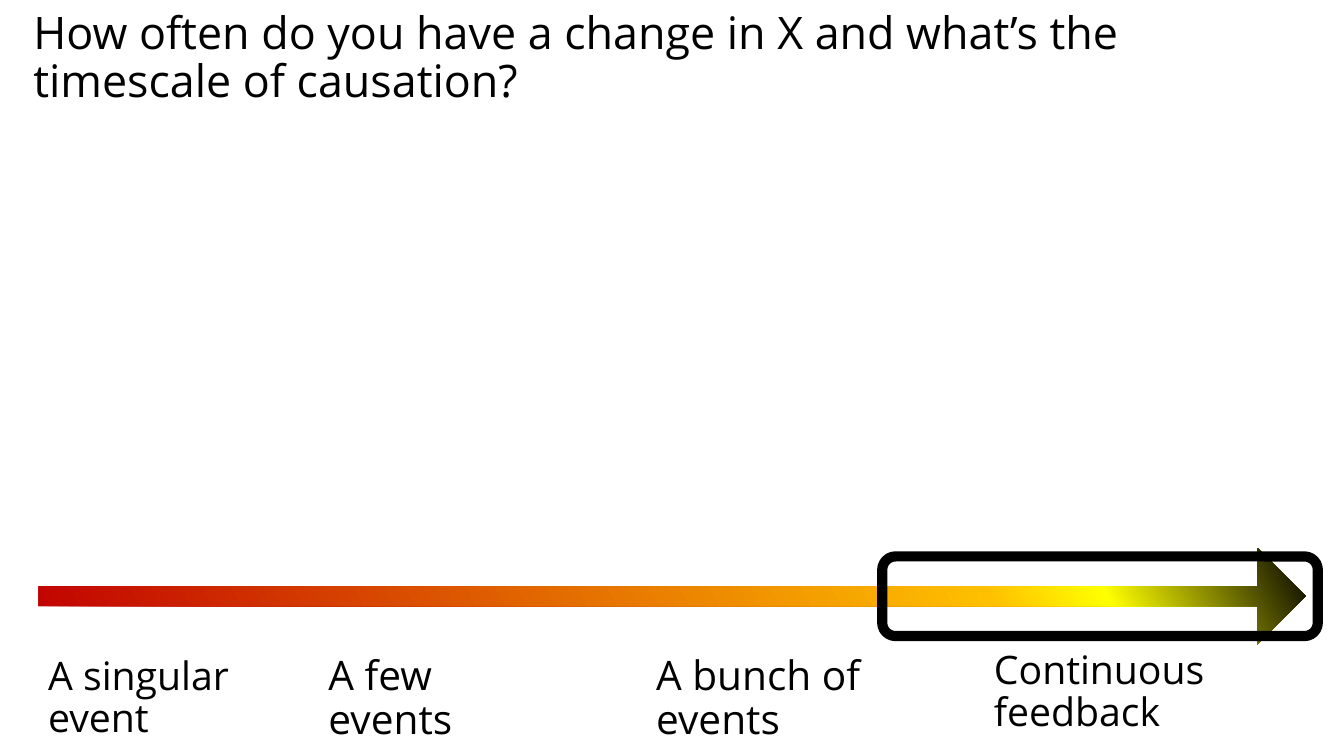
from lxml.etree import SubElement
from pptx import Presentation
from pptx.dml.color import RGBColor
from pptx.enum.shapes import MSO_SHAPE
from pptx.enum.text import MSO_ANCHOR, MSO_AUTO_SIZE, PP_ALIGN
from pptx.oxml.ns import qn
from pptx.util import Inches, Pt

FONT = "Open Sans"
BLACK = RGBColor(0x00, 0x00, 0x00)
RED = RGBColor(0xC0, 0x00, 0x00)
AMBER = RGBColor(0xFF, 0xC0, 0x00)
YELLOW = RGBColor(0xFF, 0xFF, 0x00)
TIMESCALE_STOPS = [(0, RED), (74, AMBER), (83, YELLOW), (100, BLACK)]


def place(shape, left, top, width, height):
    shape.left, shape.top = Inches(left), Inches(top)
    shape.width, shape.height = Inches(width), Inches(height)


def write_text(shape, text, size=28, color=BLACK, line_spacing=0.9):
    frame = shape.text_frame
    frame.word_wrap = True
    frame.auto_size = MSO_AUTO_SIZE.NONE
    frame.vertical_anchor = MSO_ANCHOR.MIDDLE
    frame.text = text
    paragraph = frame.paragraphs[0]
    paragraph.alignment = PP_ALIGN.LEFT
    paragraph.line_spacing = line_spacing
    font = paragraph.runs[0].font
    font.name, font.size = FONT, Pt(size)
    font.color.rgb = color


def set_gradient(shape, stops, angle):
    """Fill with (percent, colour) stops; the angle runs counter-clockwise."""
    shape.fill.gradient()
    shape.fill.gradient_angle = angle
    stop_list = shape.fill._xPr.find(qn("a:gradFill")).find(qn("a:gsLst"))
    for stop in list(stop_list):
        stop_list.remove(stop)
    for percent, color in stops:
        stop = SubElement(stop_list, qn("a:gs"), pos=str(percent * 1000))
        SubElement(stop, qn("a:srgbClr"), val=str(color))


def add_title(slide, left, top, width, height):
    title = slide.shapes.title
    place(title, left, top, width, height)
    write_text(
        title,
        "How often do you have a change in X and what’s the timescale of causation?",
        size=32,
    )


def add_timescale(slide, left, top, width, height):
    """Draw the gradient arrow, its labels and the frame around its end."""
    arrow = slide.shapes.add_shape(
        MSO_SHAPE.RIGHT_ARROW, Inches(left), Inches(top), Inches(width), Inches(height)
    )
    arrow.adjustments[0] = 0.208
    arrow.shadow.inherit = False
    arrow.line.fill.background()
    set_gradient(arrow, TIMESCALE_STOPS, angle=28)

    highlight = slide.shapes.add_shape(
        MSO_SHAPE.ROUNDED_RECTANGLE,
        Inches(left + 8.37), Inches(top + 0.08), Inches(4.32), Inches(0.79),
    )
    highlight.shadow.inherit = False
    highlight.fill.background()
    highlight.line.color.rgb = BLACK
    highlight.line.width = Pt(7.25)

    labels = [
        ("A singular event", 0, 1.1, 2.33, 28),
        ("A few events", 2.78, 1.1, 2.33, 29),
        ("A bunch of events", 6.03, 1.1, 2.33, 29),
        ("Continuous feedback", 9.38, 1.04, 3.8, 28),
    ]
    for text, across, down, label_width, size in labels:
        label = slide.shapes.add_textbox(
            Inches(left + across), Inches(top + down), Inches(label_width), Inches(0.79)
        )
        write_text(label, text, size=size)


def main():
    presentation = Presentation()
    presentation.slide_width = Inches(13.33)
    presentation.slide_height = Inches(7.5)
    slide = presentation.slides.add_slide(presentation.slide_layouts[5])
    add_title(slide, 0.23, 0.19, 12.43, 0.79)
    add_timescale(slide, 0.38, 5.44, 12.57, 0.95)
    presentation.save("out.pptx")


if __name__ == "__main__":
    main()
